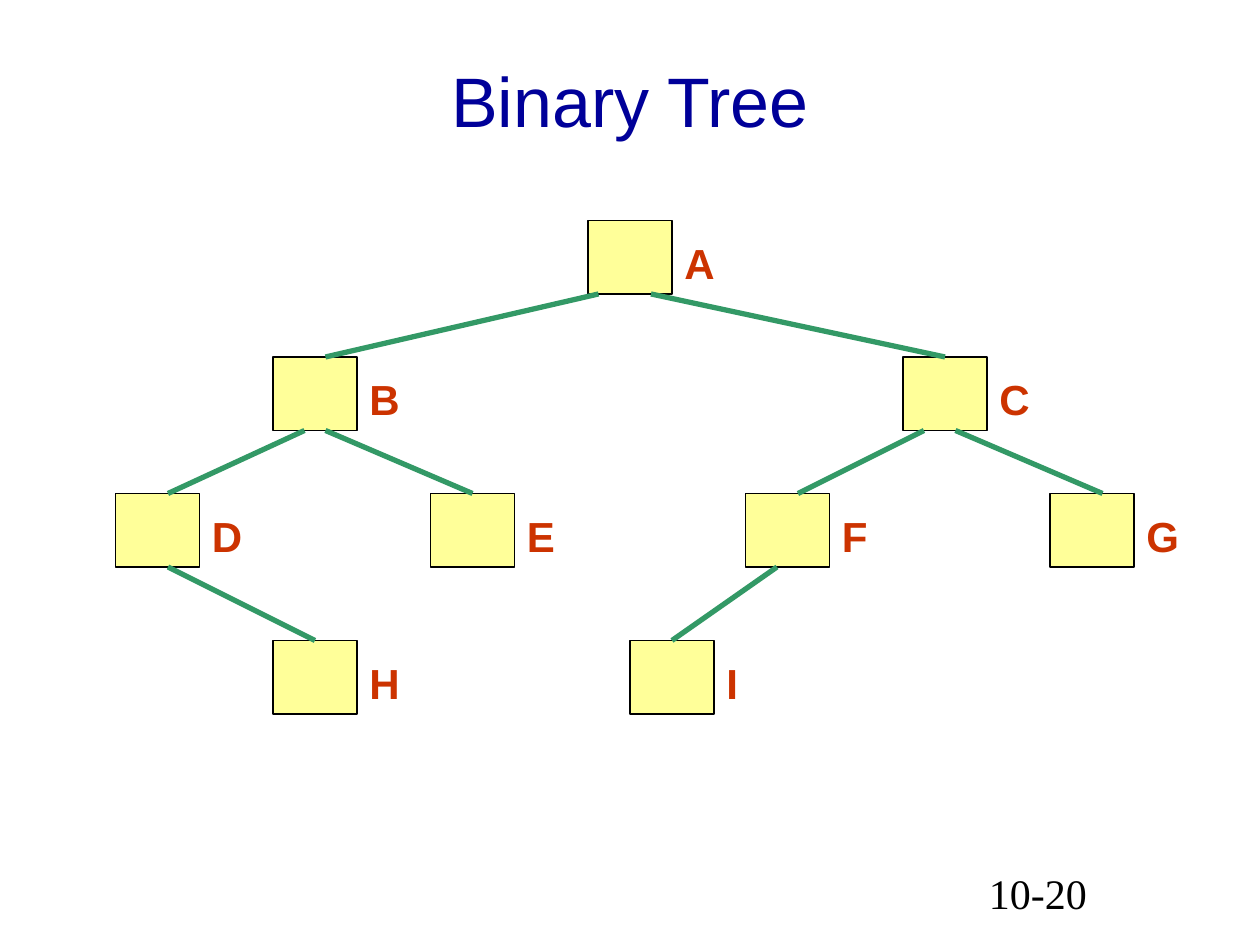
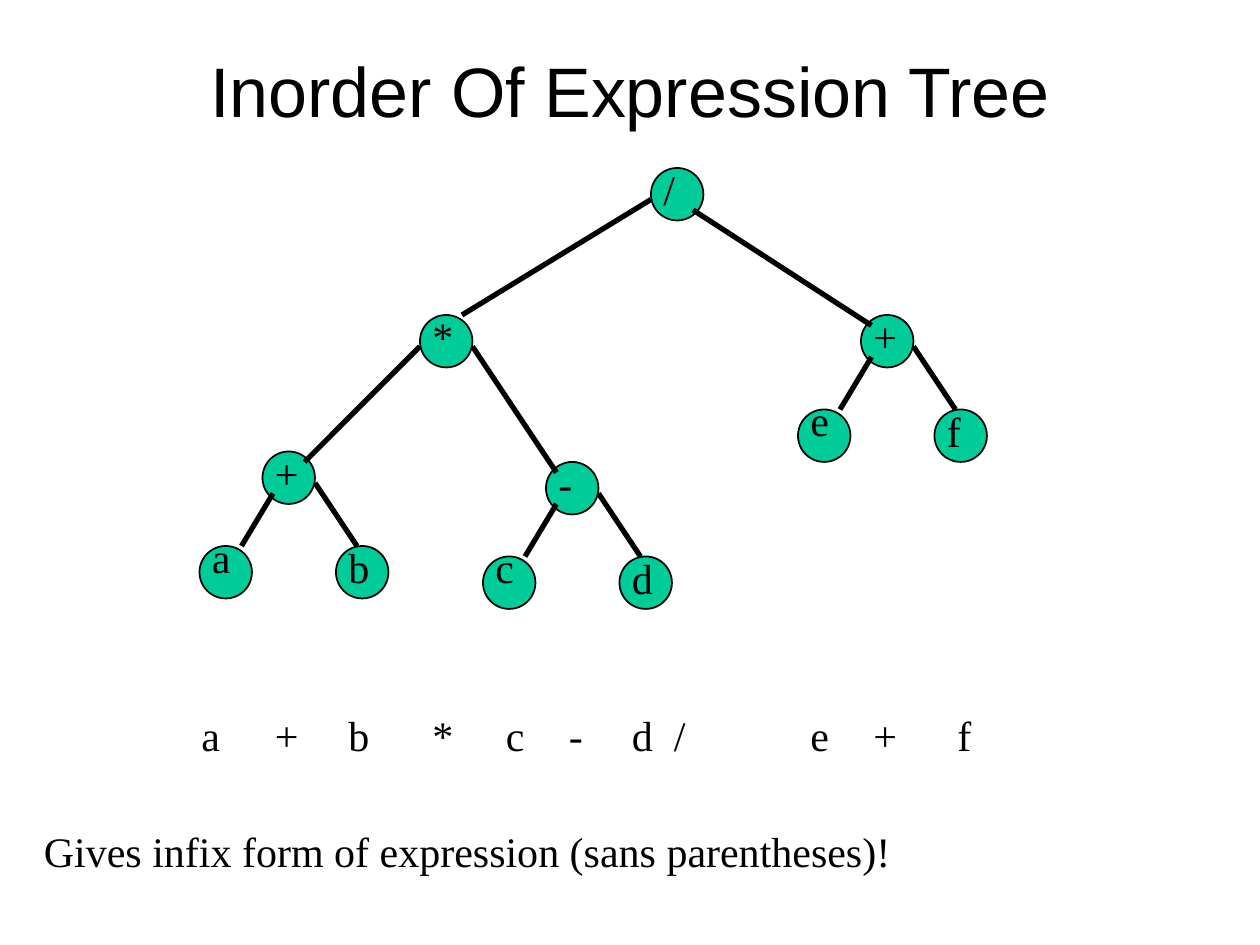
"""Build two slides about binary trees on a grid of 120 columns by 90 rows."""
from lxml import etree
from pptx import Presentation
from pptx import util as u
from pptx.dml.color import RGBColor
from pptx.enum import shapes, text
from pptx.oxml.ns import qn

SLIDE_WIDTH, SLIDE_HEIGHT = u.Inches(10), u.Inches(7.5)
COLUMN, ROW = SLIDE_WIDTH // 120, SLIDE_HEIGHT // 90
TITLE_ONLY = 5

BLACK = RGBColor(0x00, 0x00, 0x00)
NAVY = RGBColor(0x00, 0x00, 0x99)
YELLOW = RGBColor(0xFF, 0xFF, 0x99)
GREEN = RGBColor(0x33, 0x99, 0x66)
RED = RGBColor(0xCC, 0x33, 0x00)
TEAL = RGBColor(0x00, 0xCC, 0x99)
SANS, SERIF = "Arial", "Times New Roman"

BOX_WIDTH, BOX_HEIGHT = 8, 7
CIRCLE = 5
TEXT_HEIGHT = 6

BOXES = {
    "A": (56, 21),
    "B": (26, 34), "C": (86, 34),
    "D": (11, 47), "E": (41, 47), "F": (71, 47), "G": (100, 47),
    "H": (26, 61), "I": (60, 61),
}
# Parent, child, and the columns at which the branch leaves and enters them.
BOX_BRANCHES = [
    ("A", "B", 1, 5), ("A", "C", 6, 4),
    ("B", "D", 3, 5), ("B", "E", 5, 4),
    ("C", "F", 2, 5), ("C", "G", 5, 5),
    ("D", "H", 5, 4), ("F", "I", 3, 4),
]
LEAF_PAIRS = [
    ("+", 25, 43, "a", "b"),
    ("-", 52, 44, "c", "d"),
    ("+", 82, 30, "e", "f"),
]
UPPER_OPERATORS = [("*", 40, 30), ("/", 62, 16)]
UPPER_BRANCHES = [
    ((40, 33), (29, 44)), ((45, 33), (53, 45)),
    ((62, 19), (44, 30)), ((66, 20), (83, 31)),
]
INORDER_COLUMNS = [18, 25, 32, 40, 47, 53, 59, 63, 76, 82, 90]


def area(column, row, width, height):
    """Turn grid cells into left, top, width and height."""
    return column * COLUMN, row * ROW, width * COLUMN, height * ROW


def format_text(frame, size, font, colour, bold=False):
    """Format every run of a text frame."""
    for para in frame.paragraphs:
        for span in para.runs:
            span.font.size = u.Pt(size)
            span.font.name = font
            span.font.bold = bold
            span.font.color.rgb = colour


def add_page(deck, title, colour, title_rows):
    """Add a slide with a centred title."""
    page = deck.slides.add_slide(deck.slide_layouts[TITLE_ONLY])
    box = page.shapes.title
    box.left, box.top, box.width, box.height = area(9, 2, 102, title_rows)
    frame = box.text_frame
    frame.text = title
    frame.auto_size = text.MSO_AUTO_SIZE.NONE
    frame.vertical_anchor = text.MSO_ANCHOR.MIDDLE
    frame.paragraphs[0].alignment = text.PP_ALIGN.CENTER
    format_text(frame, 40, SANS, colour)
    return page


def add_text(page, words, column, row, width, font=SERIF, colour=BLACK, bold=False):
    """Add one line of text."""
    box = page.shapes.add_textbox(*area(column, row, width, TEXT_HEIGHT))
    box.text_frame.word_wrap = True
    box.text_frame.text = words
    format_text(box.text_frame, 24, font, colour, bold)


def add_node(page, kind, column, row, width, height, fill, weight):
    """Add an outlined, filled tree node."""
    node = page.shapes.add_shape(kind, *area(column, row, width, height))
    node.shadow.inherit = False
    node.fill.solid()
    node.fill.fore_color.rgb = fill
    node.line.color.rgb = BLACK
    node.line.width = u.Pt(weight)
    return node


def add_branch(page, start, end, colour):
    """Draw a straight branch between two grid points."""
    (x1, y1), (x2, y2) = start, end
    branch = page.shapes.add_connector(
        shapes.MSO_CONNECTOR.STRAIGHT, x1 * COLUMN, y1 * ROW, x2 * COLUMN, y2 * ROW)
    branch.line.color.rgb = colour
    branch.line.width = u.Pt(3)
    etree.SubElement(branch._element.spPr, qn("a:effectLst"))
    return branch


def add_circle(page, symbol, column, row, lift=1):
    """Add a circle with its symbol raised by some rows."""
    add_node(page, shapes.MSO_SHAPE.OVAL, column, row, CIRCLE, CIRCLE, TEAL, 1)
    add_text(page, symbol, column, row - lift, CIRCLE)


def add_leaf_pair(page, operator, column, row, left, right):
    """Add an operator with its two operands below it."""
    add_circle(page, operator, column, row)
    add_circle(page, left, column - 6, row + 9, lift=2)
    add_circle(page, right, column + 7, row + 9)
    add_branch(page, (column + 1, row + 4), (column - 2, row + 9), BLACK)
    add_branch(page, (column + 5, row + 3), (column + 9, row + 9), BLACK)


def build_binary_tree(deck):
    """Draw the tree of lettered boxes."""
    page = add_page(deck, "Binary Tree", NAVY, 15)
    add_text(page, "10-20", 93, 82, 25)
    nodes = {
        name: add_node(page, shapes.MSO_SHAPE.RECTANGLE, column, row,
                       BOX_WIDTH, BOX_HEIGHT, YELLOW, 0.75)
        for name, (column, row) in BOXES.items()
    }
    for parent, child, leave, enter in BOX_BRANCHES:
        (x1, y1), (x2, y2) = BOXES[parent], BOXES[child]
        branch = add_branch(page, (x1 + leave, y1 + BOX_HEIGHT), (x2 + enter, y2), GREEN)
        if enter == BOX_WIDTH / 2:
            branch.end_connect(nodes[child], 0)
    for name, (column, row) in BOXES.items():
        add_text(page, name, column + BOX_WIDTH, row + 1, 7, SANS, RED, bold=True)


def build_expression_tree(deck):
    """Draw the expression tree and its inorder listing."""
    page = add_page(deck, "Inorder Of Expression Tree", BLACK, 13)
    for pair in LEAF_PAIRS:
        add_leaf_pair(page, *pair)
    for operator in UPPER_OPERATORS:
        add_circle(page, *operator)
    for start, end in UPPER_BRANCHES:
        add_branch(page, start, end, BLACK)
    for symbol, column in zip("a+b*c-d/e+f", INORDER_COLUMNS):
        add_text(page, symbol, column, 67, CIRCLE)
    add_text(page, "Gives infix form of expression (sans parentheses)!", 3, 78, 113)


def main():
    """Build and save the deck."""
    deck = Presentation()
    deck.slide_width, deck.slide_height = SLIDE_WIDTH, SLIDE_HEIGHT
    build_binary_tree(deck)
    build_expression_tree(deck)
    deck.save("out.pptx")


if __name__ == "__main__":
    main()
